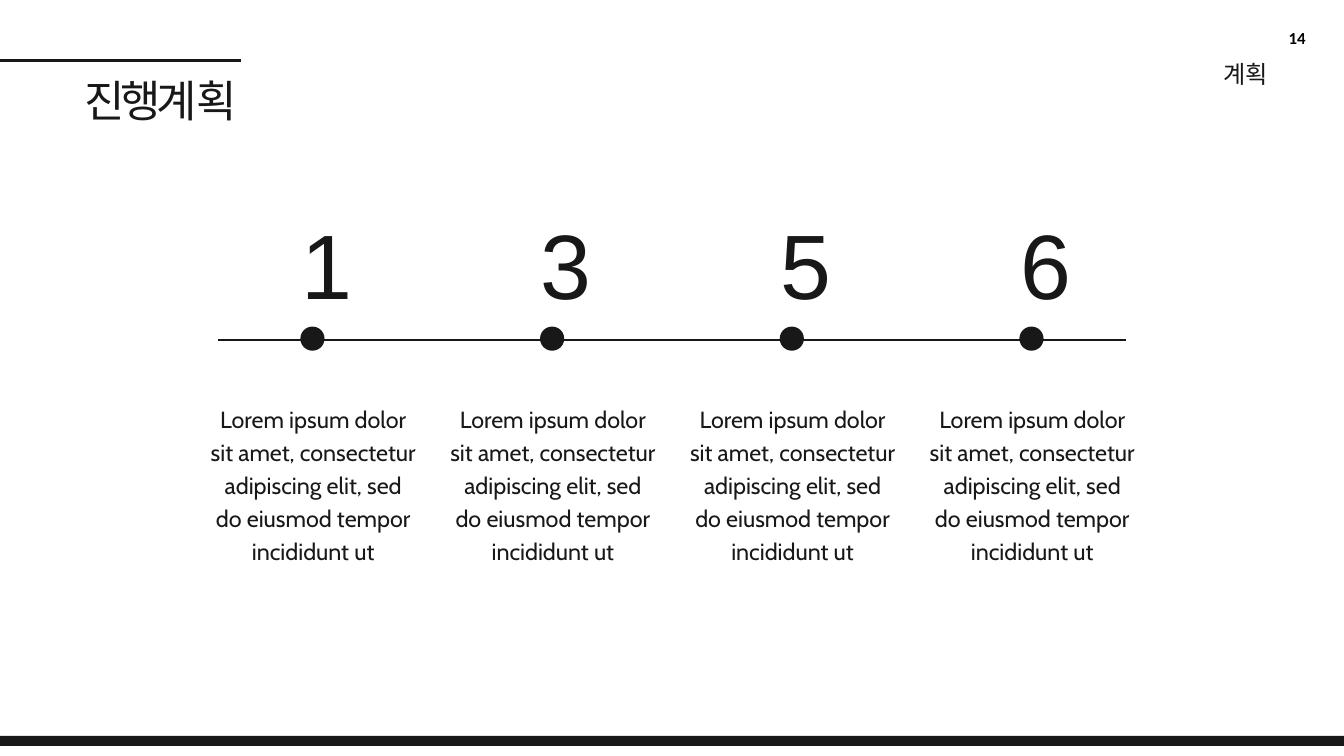
"""Build the progress plan slide: a four-step timeline under a ruled title."""
from math import cos, pi, sin
from lxml.etree import SubElement
from pptx import Presentation
from pptx.dml.color import RGBColor
from pptx.enum.shapes import MSO_CONNECTOR, MSO_SHAPE
from pptx.enum.text import PP_ALIGN
from pptx.oxml.ns import qn
from pptx.util import Inches, Pt

INK = "181818"
KOREAN = "Noto Sans CJK KR"


def rgb(value):
    return RGBColor.from_string(value)


def add_text(box, lines, formats, color=INK, align=PP_ALIGN.LEFT, spacing=1, wrap=True):
    frame = slide.shapes.add_textbox(*map(Inches, box)).text_frame
    frame.word_wrap = wrap
    for side in ("left", "top", "right", "bottom"):
        setattr(frame, f"margin_{side}", 0)
    paragraph = frame.paragraphs[0]
    paragraph.alignment = align
    paragraph.line_spacing = spacing
    for index, line in enumerate(lines):
        if index:
            paragraph.add_line_break()
        for words, tracking in line:
            run = paragraph.add_run()
            run.text = words
            for attribute, value in formats.items():
                setattr(run.font, attribute, value)
            run.font.color.rgb = rgb(color)
            properties = run.font._element
            properties.set("spc", str(round(tracking * 100)))
            SubElement(properties, qn("a:ea")).set("typeface", formats["name"])


prs = Presentation()
prs.slide_width, prs.slide_height = Inches(20), Inches(11.25)
slide = prs.slides.add_slide(prs.slide_layouts[6])

footer = slide.shapes.add_shape(
    MSO_SHAPE.RECTANGLE, 0, Inches(10.95), Inches(20), Inches(0.15))

for start, end, y, weight in ((0, 3.58, 0.9, 3), (3.25, 16.75, 5.06, 1.5)):
    rule = slide.shapes.add_connector(
        MSO_CONNECTOR.STRAIGHT, Inches(start), Inches(y), Inches(end), Inches(y))
    rule.line.color.rgb = rgb(INK)
    rule.line.width = Pt(weight)
    SubElement(rule._element.spPr, qn("a:effectLst"))

steps = "1356"
pitch = 10.7 / 3
radius = 0.18
outline = slide.shapes.build_freeform(
    Inches(4.65 + radius), Inches(5.04), scale=1.0)
for step in range(len(steps)):
    center = 4.65 + pitch * step
    if step:
        outline.move_to(Inches(center + radius), Inches(5.04))
    outline.add_line_segments([
        (Inches(center + radius * cos(pi * turn / 12)), Inches(5.04 + radius * sin(pi * turn / 12)))
        for turn in range(1, 24)])
markers = outline.convert_to_shape()

for part in (footer, markers):
    part.shadow.inherit = False
    part.fill.solid()
    part.fill.fore_color.rgb = rgb(INK)
    part.line.fill.background()

add_text((18.2, 0.88, 0.69, 0.46), [[("계획", 0)]],
         {"name": KOREAN, "size": Pt(26)}, wrap=False)
add_text((1.25, 1.09, 2.41, 0.81), [[("진행계", -4.5), ("획", -3.8)]],
         {"name": KOREAN, "size": Pt(47)}, wrap=False)
add_text((14.83, 0.41, 4.6, 0.3), [[("14", 0)]],
         {"name": "Calibri", "size": Pt(18), "bold": True}, "000000", PP_ALIGN.RIGHT)

description = [[(line, 0)] for line in (
    "Lorem ipsum dolor",
    "sit amet, consectetur",
    "adipiscing elit, sed",
    "do eiusmod tempor",
    "incididunt ut",
)]
for step, number in enumerate(steps):
    offset = pitch * step
    add_text((4.48 + offset, 3.1, 0.35, 1.67), [[(number, 0)]],
             {"name": "Arial", "size": Pt(98)})
    add_text((3.1 + offset, 5.96, 3.12, 2.48), description,
             {"name": "Cabin", "size": Pt(25)},
             align=PP_ALIGN.CENTER, spacing=1.18, wrap=False)

prs.save("out.pptx")
